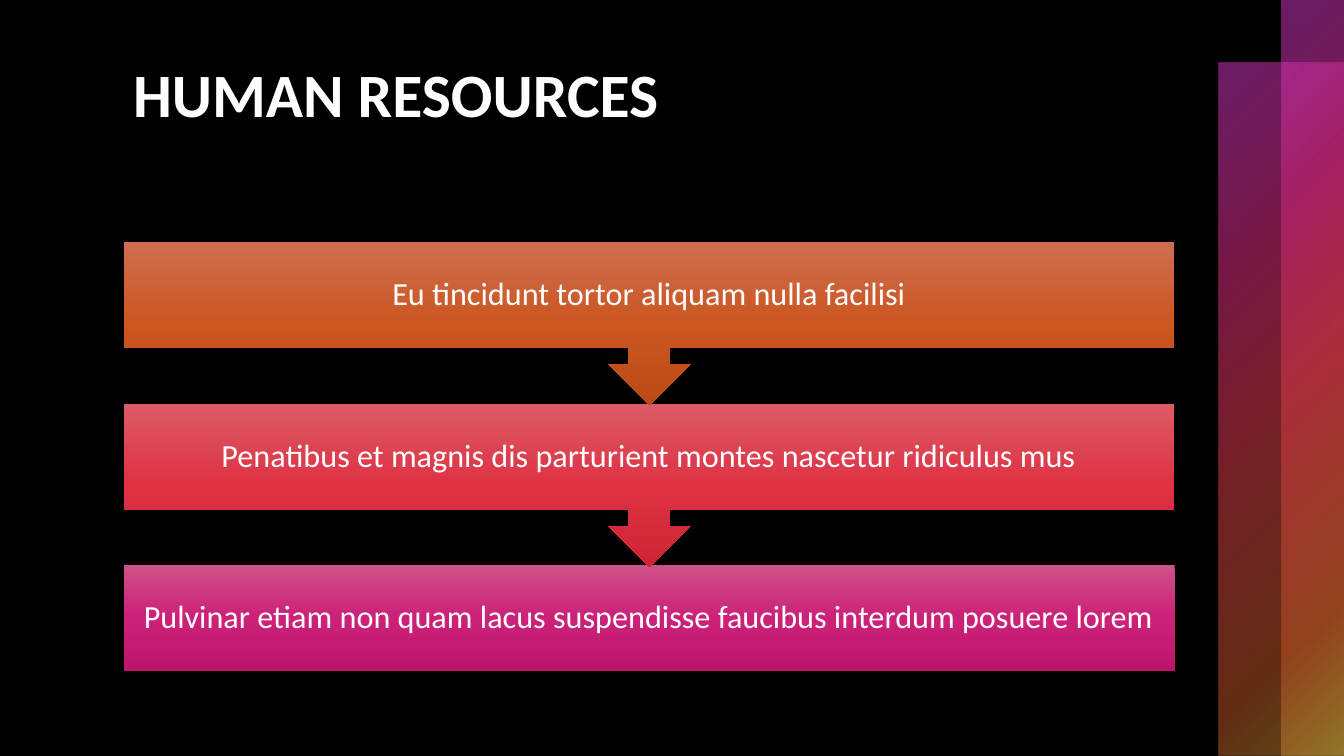
"""Build the human resources slide: three stacked steps beside two translucent bands."""
import pptx
import pptx.dml.color
import pptx.enum.shapes
import pptx.enum.text
import pptx.oxml
import pptx.oxml.ns
import pptx.util

RGBColor = pptx.dml.color.RGBColor
Inches = pptx.util.Inches
Shape = pptx.enum.shapes.MSO_SHAPE
BLACK = RGBColor(0x00, 0x00, 0x00)
WHITE = RGBColor(0xFF, 0xFF, 0xFF)
ORCHID = RGBColor(0xD6, 0x3A, 0xCC)
MAGENTA = RGBColor(0xC4, 0x28, 0x79)
RED = RGBColor(0xD6, 0x3A, 0x4A)
ORANGE = RGBColor(0xC4, 0x59, 0x28)
GOLD = RGBColor(0xC3, 0x9D, 0x35)
ORANGE_STEP = (RGBColor(0xCE, 0x6E, 0x51), RGBColor(0xCC, 0x56, 0x20), RGBColor(0xBC, 0x4A, 0x16))
RED_STEP = (RGBColor(0xDC, 0x5B, 0x65), RGBColor(0xDE, 0x32, 0x44), RGBColor(0xCE, 0x24, 0x35))
PINK_STEP = (RGBColor(0xCE, 0x51, 0x88), RGBColor(0xCC, 0x20, 0x79), RGBColor(0xBC, 0x16, 0x6C))

WIDTH, HEIGHT = 13.33, 7.5
BAND = 0.62
STEP_LEFT, STEP_TOP, STEP_WIDTH = 1.23, 2.4, 10.42
STEP_PITCH, CALLOUT_HEIGHT, BODY_HEIGHT = 1.605, 1.62, 1.05

LINEAR = '<a:lin ang="5400000" scaled="0"/>'
RADIAL = '<a:path path="circle"><a:fillToRect r="100000" b="100000"/></a:path>'


def add_gradient_shape(page, kind, box, stops, direction):
    """Add an unlined shape whose stops are (position, colour, opacity) in percent."""
    shape = page.shapes.add_shape(kind, *map(Inches, box))
    shape.shadow.inherit = False
    shape.line.fill.background()
    shape.fill.background()
    marks = "".join(
        f'<a:gs pos="{position * 1000}"><a:srgbClr val="{colour}">'
        f'<a:alpha val="{opacity * 1000}"/></a:srgbClr></a:gs>'
        for position, colour, opacity in stops
    )
    gradient = pptx.oxml.parse_xml(
        f'<a:gradFill {pptx.oxml.ns.nsdecls("a")} rotWithShape="1">'
        f"<a:gsLst>{marks}</a:gsLst>{direction}</a:gradFill>"
    )
    properties = shape._element.spPr
    properties.replace(properties.find(pptx.oxml.ns.qn("a:noFill")), gradient)
    return shape


def format_text(para, **values):
    """Apply the slide's typeface and the given font values to a paragraph."""
    for name, value in {"name": "Calibri", **values}.items():
        setattr(para.font, name, value)
    para.font.color.rgb = WHITE


deck = pptx.Presentation()
deck.slide_width, deck.slide_height = Inches(WIDTH), Inches(HEIGHT)
page = deck.slides.add_slide(deck.slide_layouts[5])
page.background.fill.solid()
page.background.fill.fore_color.rgb = BLACK

for columns, top, middle in ((2, BAND, 50), (1, 0, 49)):
    width = columns * BAND
    stops = ((0, ORCHID, 50), (25, MAGENTA, 60), (middle, RED, 55), (81, ORANGE, 50), (99, GOLD, 50))
    box = (WIDTH - width, top, width, HEIGHT - top)
    add_gradient_shape(page, Shape.RECTANGLE, box, stops, RADIAL)

title = page.shapes.title
for name, value in {"left": 1.22, "top": 0.5, "width": 10.37, "height": 1.7}.items():
    setattr(title, name, Inches(value))
title.text_frame.text = "HUMAN RESOURCES"
title.text_frame.vertical_anchor = pptx.enum.text.MSO_ANCHOR.TOP
title.text_frame.paragraphs[0].alignment = pptx.enum.text.PP_ALIGN.LEFT
format_text(title.text_frame.paragraphs[0], size=pptx.util.Pt(44), bold=True)

steps = (
    ("Eu tincidunt tortor aliquam nulla facilisi", ORANGE_STEP),
    ("Penatibus et magnis dis parturient montes nascetur ridiculus mus", RED_STEP),
    ("Pulvinar etiam non quam lacus suspendisse faucibus interdum posuere lorem", PINK_STEP),
)
for row, (label, colours) in reversed(list(enumerate(steps))):
    last = row == len(steps) - 1
    kind = Shape.RECTANGLE if last else Shape.DOWN_ARROW_CALLOUT
    height = BODY_HEIGHT if last else CALLOUT_HEIGHT
    box = (STEP_LEFT, STEP_TOP + row * STEP_PITCH, STEP_WIDTH, height)
    stops = [(50 * place, colour, 100) for place, colour in enumerate(colours)]
    step = add_gradient_shape(page, kind, box, stops, LINEAR)
    frame = step.text_frame
    frame.word_wrap = True
    frame.vertical_anchor = pptx.enum.text.MSO_ANCHOR.MIDDLE
    for side in ("left", "top", "right", "bottom"):
        setattr(frame, f"margin_{side}", Inches(0.18))
    para = frame.paragraphs[0]
    para.text = label
    para.alignment = pptx.enum.text.PP_ALIGN.CENTER
    para.line_spacing = 0.9
    format_text(para, size=pptx.util.Pt(23))

deck.save("out.pptx")
